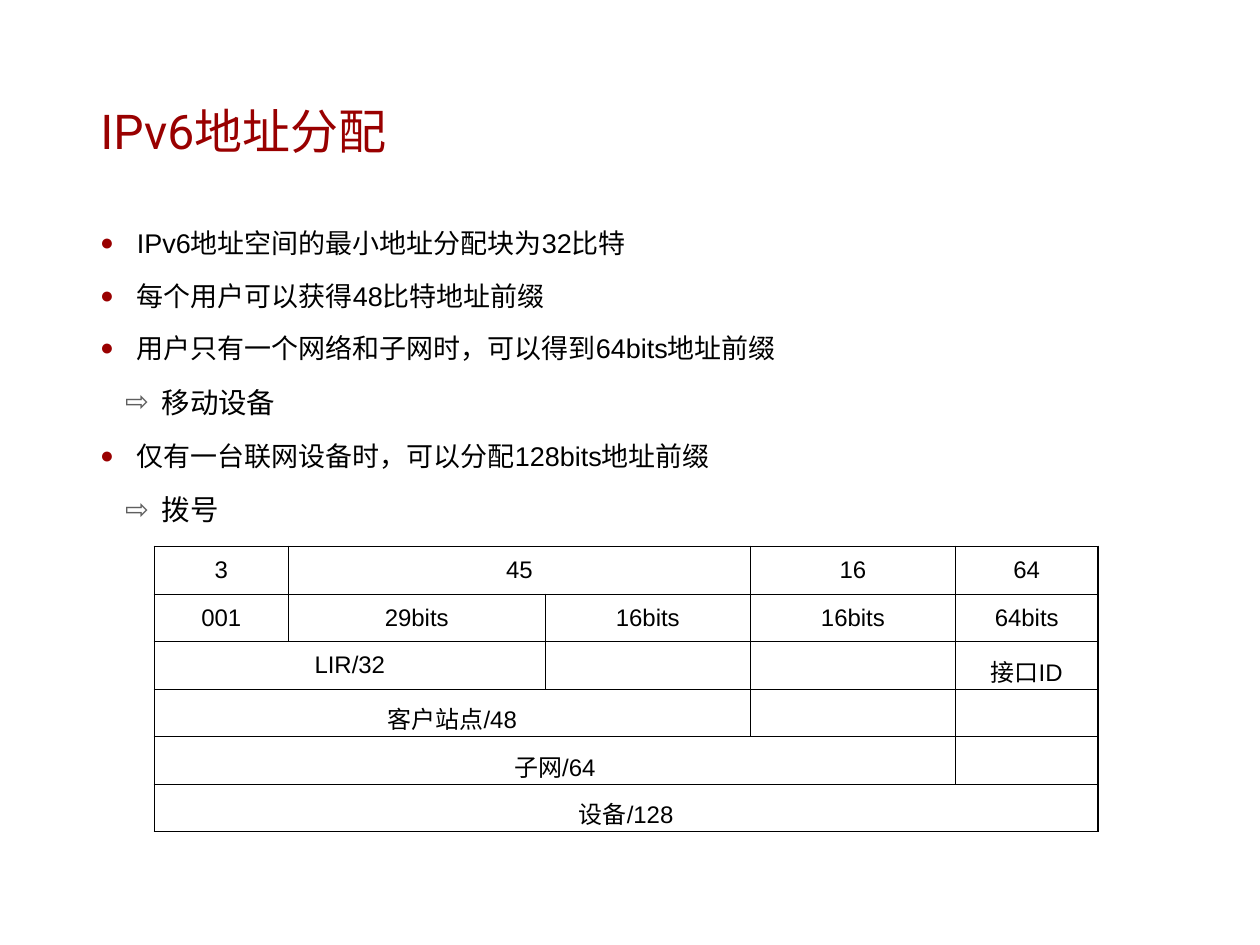
"""Build a slide on how IPv6 address blocks are allocated."""
from dataclasses import dataclass
from lxml.etree import SubElement
from pptx import Presentation
from pptx.dml.color import RGBColor as RGB
from pptx.enum.text import MSO_ANCHOR as Anchor, PP_ALIGN as Align
from pptx.oxml.ns import qn
from pptx.util import Inches, Pt


@dataclass(frozen=True)
class Theme:
    accent: str = "990000"
    arrow: str = "5F5F5F"
    ink: str = "000000"
    title_font: str = "Roboto"
    font: str = "Arial"
    title_size: int = 32
    point_size: int = 18
    example_size: int = 19
    cell_size: int = 16
    outer_line: float = 1.08
    inner_line: float = 0.45


theme = Theme()


def set_font(paragraph, size, color=theme.ink, name=theme.font):
    paragraph.font.size = Pt(size)
    paragraph.font.name = name
    paragraph.font.color.rgb = RGB.from_string(color)


def add_border(cell, side, width):
    line = SubElement(cell._tc.get_or_add_tcPr(), qn(f"a:ln{side}"), w=str(Pt(width)))
    SubElement(SubElement(line, qn("a:solidFill")), qn("a:srgbClr"), val=theme.ink)


deck = Presentation()
deck.slide_width, deck.slide_height = Inches(11.67), Inches(8.75)
slide = deck.slides.add_slide(deck.slide_layouts[5])

title = slide.shapes.title
title.left, title.top = Inches(0.83), Inches(0.81)
title.width, title.height = Inches(8.74), Inches(0.8)
title.text_frame.text = "IPv6地址分配"
title.text_frame.vertical_anchor = Anchor.MIDDLE
heading = title.text_frame.paragraphs[0]
heading.alignment = Align.LEFT
set_font(heading, theme.title_size, theme.accent, theme.title_font)

points = [
    (0, "IPv6地址空间的最小地址分配块为32比特"),
    (0, "每个用户可以获得48比特地址前缀"),
    (0, "用户只有一个网络和子网时，可以得到64bits地址前缀"),
    (1, "移动设备"),
    (0, "仅有一台联网设备时，可以分配128bits地址前缀"),
    (1, "拨号"),
]
levels = [
    (0.34, "●", theme.accent, 85, theme.point_size, 4.5),
    (0.57, "⇨", theme.arrow, 100, theme.example_size, 4.8),
]
rules = slide.shapes.add_textbox(Inches(0.83), Inches(1.99), Inches(7.57), Inches(3.4)).text_frame
rules.word_wrap = True
for index, (level, text) in enumerate(points):
    margin, bullet, bullet_color, bullet_scale, size, gap = levels[level]
    point = rules.add_paragraph() if index else rules.paragraphs[0]
    point.text = text
    point.level = level
    props = point._p.get_or_add_pPr()
    props.set("marL", str(Inches(margin)))
    props.set("indent", str(Inches(-0.34)))
    SubElement(SubElement(props, qn("a:buClr")), qn("a:srgbClr"), val=bullet_color)
    SubElement(props, qn("a:buSzPct"), val=str(bullet_scale * 1000))
    SubElement(props, qn("a:buFont"), typeface=theme.font)
    SubElement(props, qn("a:buChar"), char=bullet)
    point.line_spacing = 1.2
    point.space_before = Pt(gap if index else 0)
    point.space_after = Pt(gap)
    set_font(point, size)

column_widths = [1.24, 2.38, 1.9, 1.9, 1.32]
allocation_rows = [
    [("3", 1), ("45", 2), ("16", 1), ("64", 1)],
    [("001", 1), ("29bits", 1), ("16bits", 1), ("16bits", 1), ("64bits", 1)],
    [("LIR/32", 2), ("", 1), ("", 1), ("接口ID", 1)],
    [("客户站点/48", 3), ("", 1), ("", 1)],
    [("子网/64", 4), ("", 1)],
    [("设备/128", 5)],
]
row_count, column_count = len(allocation_rows), len(column_widths)
allocation = slide.shapes.add_table(
    row_count, column_count, Inches(1.43), Inches(5.06), Inches(8.74), Inches(0.44 * row_count)
).table
allocation.first_row = allocation.horz_banding = False
for column, width in zip(allocation.columns, column_widths):
    column.width = Inches(width)

for row, blocks in enumerate(allocation_rows):
    allocation.rows[row].height = Inches(0.44)
    start = 0
    for text, span in blocks:
        end = start + span - 1
        block = allocation.cell(row, start)
        if span > 1:
            block.merge(allocation.cell(row, end))
        block.margin_left = block.margin_right = Inches(0.12)
        block.margin_top = block.margin_bottom = Inches(0.05)
        if text:
            block.text = text
            label = block.text_frame.paragraphs[0]
            label.alignment = Align.CENTER
            label.line_spacing = 1.2
            label.space_after = Pt(4)
            set_font(label, theme.cell_size)
        edges = {"L": start == 0, "R": end == column_count - 1,
                 "T": row == 0, "B": row == row_count - 1}
        for position in range(start, end + 1):
            cell = allocation.cell(row, position)
            for side, is_outer in edges.items():
                add_border(cell, side, theme.outer_line if is_outer else theme.inner_line)
            cell.fill.background()
        start = end + 1

deck.save("out.pptx")
